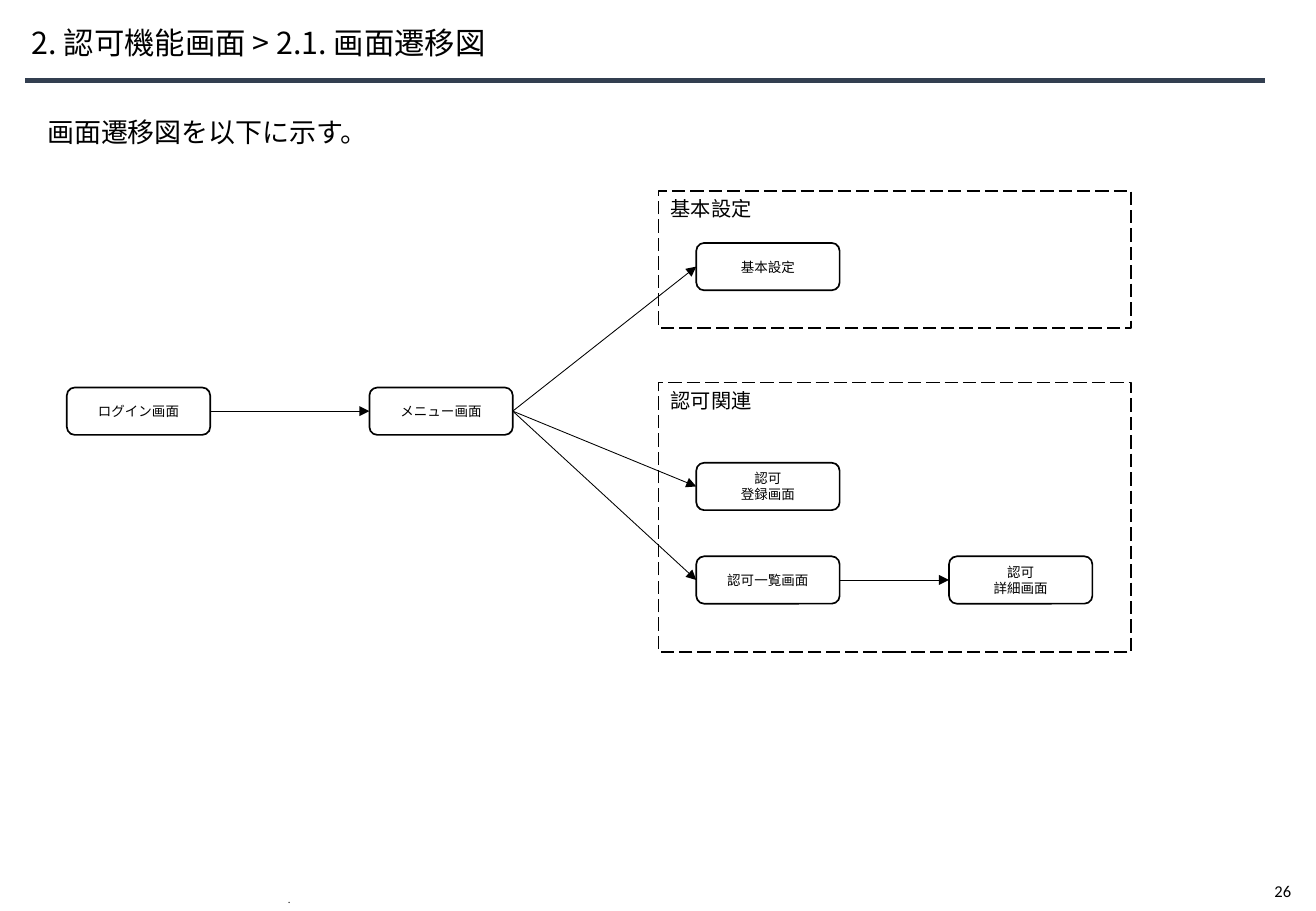
import pptx
import pptx.util
import pptx.dml.color
import pptx.enum.dml
import pptx.enum.shapes
import pptx.enum.text
import pptx.oxml.ns
import lxml.etree

Inches, Pt = pptx.util.Inches, pptx.util.Pt
SHAPE = pptx.enum.shapes.MSO_SHAPE
ANCHOR = pptx.enum.text.MSO_ANCHOR
ALIGN = pptx.enum.text.PP_ALIGN
COLORS = {"ink": "000000", "paper": "FFFFFF", "rule": "333F50"}
JAPANESE, LATIN = "Noto Sans CJK JP", "Calibri"
LEFT_SITE, RIGHT_SITE = 1, 3
SCREEN_W, SCREEN_H = 1.18, 0.39


def rgb(name):
    return pptx.dml.color.RGBColor.from_string(COLORS[name])


def add_xml(parent, tag, **attributes):
    return lxml.etree.SubElement(parent, pptx.oxml.ns.qn(tag), attributes)


def write(shape, text, size, font=JAPANESE, paragraph_format=None, **frame_format):
    """Fill a shape with text, one paragraph per line."""
    frame = shape.text_frame
    for key, value in frame_format.items():
        setattr(frame, key, value)
    frame.text = text
    for paragraph in frame.paragraphs:
        for key, value in (paragraph_format or {}).items():
            setattr(paragraph, key, value)
        for run in paragraph.runs:
            for key, value in {"size": Pt(size), "name": font}.items():
                setattr(run.font, key, value)
            run.font.color.rgb = rgb("ink")
            # Japanese glyphs take the East Asian font
            add_xml(run._r.get_or_add_rPr(), "a:ea", typeface=JAPANESE)


def add_text(slide, box, text, size, **formats):
    label = slide.shapes.add_textbox(*map(Inches, box))
    write(label, text, size, **formats)


def add_box(slide, kind, box):
    """White box with a black outline."""
    shape = slide.shapes.add_shape(kind, *map(Inches, box))
    shape.shadow.inherit = False
    shape.fill.solid()
    shape.fill.fore_color.rgb = rgb("paper")
    shape.line.color.rgb = rgb("ink")
    shape.line.width = Pt(1)
    return shape


def add_line(slide, start, end, color, width):
    line = slide.shapes.add_connector(
        pptx.enum.shapes.MSO_CONNECTOR.STRAIGHT, *map(Inches, (*start, *end)))
    line.line.color.rgb = rgb(color)
    line.line.width = Pt(width)
    add_xml(line._element.spPr, "a:effectLst")
    return line


def add_header(slide, box):
    """Title with the rule below it."""
    left, top, width, height = box
    title = slide.shapes.title
    place = {"left": left + 0.05, "top": top, "width": 9.92, "height": 0.47}
    for key, value in place.items():
        setattr(title, key, Inches(value))
    write(title, "2. 認可機能画面 > 2.1. 画面遷移図", 18,
          paragraph_format={"alignment": ALIGN.LEFT, "line_spacing": 0.9},
          vertical_anchor=ANCHOR.MIDDLE, margin_left=0,
          auto_size=pptx.enum.text.MSO_AUTO_SIZE.NONE)
    add_line(slide, (left, top + height), (left + width, top + height), "rule", 3)


def add_group(slide, box, name):
    """Dashed frame around related screens."""
    group = add_box(slide, SHAPE.RECTANGLE, box)
    group.line.dash_style = pptx.enum.dml.MSO_LINE.LONG_DASH
    write(group, name, 12, paragraph_format={"alignment": ALIGN.LEFT},
          vertical_anchor=ANCHOR.TOP)


def add_screen(slide, left, top, name):
    screen = add_box(slide, SHAPE.ROUNDED_RECTANGLE, (left, top, SCREEN_W, SCREEN_H))
    write(screen, name, 8, font=LATIN, paragraph_format={"alignment": ALIGN.CENTER},
          vertical_anchor=ANCHOR.MIDDLE)
    return screen


def add_transition(slide, source, target):
    """Arrow from the right side of one screen to the left side of the next."""
    arrow = add_line(slide, (0, 0), (0, 0), "ink", 0.5)
    arrow.begin_connect(source, RIGHT_SITE)
    arrow.end_connect(target, LEFT_SITE)
    add_xml(arrow.line._get_or_add_ln(), "a:tailEnd", type="triangle")


def add_diagram(slide, box):
    """Screen transitions, placed from the top left of the box."""
    left, top, width, height = box
    group_left, group_w = left + 4.87, width - 4.87
    related_top = top + 1.58
    add_group(slide, (group_left, related_top, group_w, height - 1.58), "認可関連")
    add_group(slide, (group_left, top, group_w, 1.13), "基本設定")

    menu_left, branch_left, detail_left = left + 2.49, left + 5.18, left + 7.26
    main_top, list_top = top + 1.62, top + 3.01
    places = {
        "login": (left, main_top, "ログイン画面"),
        "menu": (menu_left, main_top, "メニュー画面"),
        "settings": (branch_left, top + 0.43, "基本設定"),
        "register": (branch_left, top + 2.24, "認可\n登録画面"),
        "list": (branch_left, list_top, "認可一覧画面"),
        "detail": (detail_left, list_top, "認可\n詳細画面"),
    }
    screens = {key: add_screen(slide, *place) for key, place in places.items()}
    for source, target in (("login", "menu"), ("menu", "settings"),
                           ("menu", "register"), ("menu", "list"),
                           ("list", "detail")):
        add_transition(slide, screens[source], screens[target])


def add_footer(slide, box):
    """Footer mark and page number."""
    left, top, width, height = box
    add_text(slide, (left, top + 0.16, 6.3, 0.14), ".", 5.7,
             paragraph_format={"line_spacing": Pt(1.6)},
             word_wrap=True, vertical_anchor=ANCHOR.BOTTOM)
    add_text(slide, (left + width - 0.36, top, 0.36, height), "26", 9.8,
             font=LATIN, word_wrap=False)


def main():
    deck = pptx.Presentation()
    deck.slide_width, deck.slide_height = Inches(10.83), Inches(7.5)
    slide = deck.slides.add_slide(deck.slide_layouts[5])
    add_header(slide, (0.21, 0.13, 10.2, 0.53))
    add_text(slide, (0.29, 0.9, 2.68, 0.37), "画面遷移図を以下に示す。", 16,
             word_wrap=False)
    add_diagram(slide, (0.55, 1.57, 8.76, 3.8))
    add_footer(slide, (2.27, 7.2, 8.48, 0.27))
    deck.save("out.pptx")


if __name__ == "__main__":
    main()
